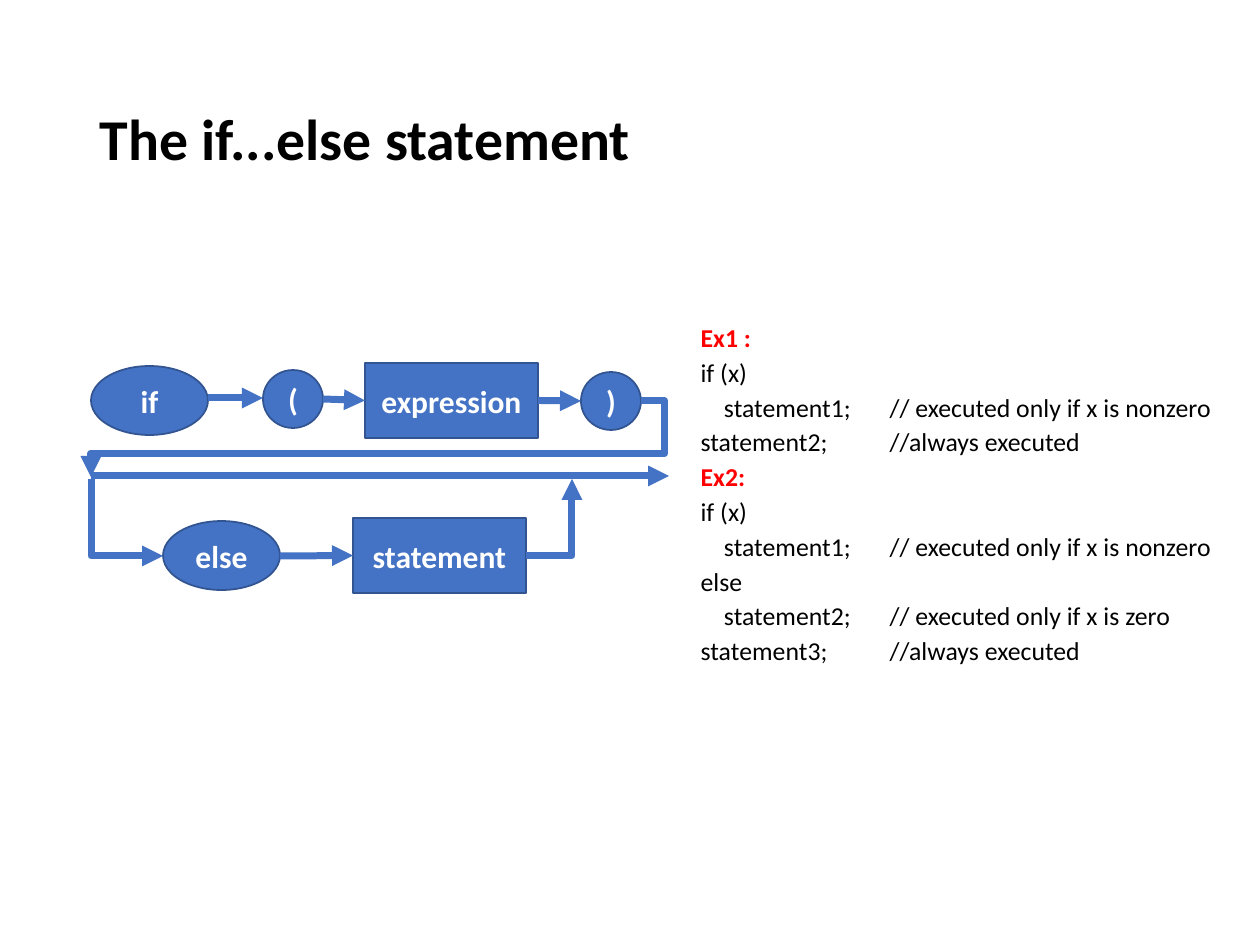
from lxml.etree import SubElement
from pptx import Presentation
from pptx.dml.color import RGBColor
from pptx.enum.shapes import MSO_CONNECTOR, MSO_SHAPE
from pptx.enum.text import MSO_ANCHOR, MSO_AUTO_SIZE, PP_ALIGN
from pptx.oxml.ns import qn
from pptx.util import Emu, Pt

BLUE, EDGE, WHITE, BLACK, RED = "4472C4", "325491", "FFFFFF", "000000", "FF0000"


def px(n):
    return Emu(round(n * 914400 / 126))


def rgb(value):
    return RGBColor.from_string(value)


def write(p, text, size=18, color=BLACK, bold=False, align=PP_ALIGN.LEFT, spacing=None, before=None):
    p.alignment = align
    if spacing:
        p.line_spacing = spacing
    if before is not None:
        p.space_before = Pt(before)
    r = p.add_run()
    r.text = text
    r.font.name = "Calibri"
    r.font.size = Pt(size)
    r.font.bold = bold
    r.font.color.rgb = rgb(color)


class Diagram:
    def __init__(self, prs):
        self.s = prs.slides.add_slide(prs.slide_layouts[1])

    def place(self, sp, x, y, w, h, anchor):
        sp.left, sp.top, sp.width, sp.height = px(x), px(y), px(w), px(h)
        tf = sp.text_frame
        tf.word_wrap = True
        tf.auto_size = MSO_AUTO_SIZE.NONE
        tf.vertical_anchor = anchor
        return tf

    def title(self, text, *box):
        tf = self.place(self.s.shapes.title, *box, MSO_ANCHOR.MIDDLE)
        write(tf.paragraphs[0], text, size=33, bold=True, spacing=0.9)

    def code(self, lines, *box):
        tf = self.place(self.s.placeholders[1], *box, MSO_ANCHOR.TOP)
        for i, line in enumerate(lines):
            p = tf.add_paragraph() if i else tf.paragraphs[0]
            pPr = p._p.get_or_add_pPr()
            pPr.set("marL", "0")
            pPr.set("indent", "0")
            SubElement(pPr, qn("a:buNone"))
            tabs = SubElement(pPr, qn("a:tabLst"))
            SubElement(tabs, qn("a:tab"), pos=str(px(189)), algn="l")
            heading = line.startswith("Ex")
            write(p, line, size=14.7, color=RED if heading else BLACK, bold=heading,
                  spacing=0.7, before=7.5 if i else 0)

    def node(self, kind, text, x, y, w, h):
        sp = self.s.shapes.add_shape(kind, px(x), px(y), px(w), px(h))
        sp.shadow.inherit = False
        sp.fill.solid()
        sp.fill.fore_color.rgb = rgb(BLUE)
        sp.line.color.rgb = rgb(EDGE)
        sp.line.width = Pt(1)
        tf = sp.text_frame
        tf.word_wrap = False
        tf.vertical_anchor = MSO_ANCHOR.MIDDLE
        write(tf.paragraphs[0], text, color=WHITE, bold=True, align=PP_ALIGN.CENTER)
        return sp

    def rect(self, text, x, y):
        return self.node(MSO_SHAPE.RECTANGLE, text, x, y, 173, 75)

    def keyword(self, text, x, y):
        return self.node(MSO_SHAPE.OVAL, text, x, y, 117, 69)

    def paren(self, text, x, y):
        return self.node(MSO_SHAPE.OVAL, text, x, y, 60, 58)

    def arrow(self, x1, y1, x2, y2, kind=MSO_CONNECTOR.STRAIGHT, start=None, end=None):
        cn = self.s.shapes.add_connector(kind, px(x1), px(y1), px(x2), px(y2))
        if start:
            cn.begin_connect(start, 3)
        if end:
            cn.end_connect(end, 1)
        cn.line.color.rgb = rgb(BLUE)
        cn.line.width = Pt(4)
        spPr = cn._element.spPr
        SubElement(spPr.find(qn("a:ln")), qn("a:tailEnd"), type="triangle")
        SubElement(spPr, qn("a:effectLst"))
        return cn

    def elbow(self, x1, y1, x2, y2, preset, adjust=(), down_first=False):
        if down_first:
            cx, cy = (x1 + x2) / 2, (y1 + y2) / 2
            w, h = x2 - x1, y2 - y1
            x1, y1, x2, y2 = cx + h / 2, cy - w / 2, cx - h / 2, cy + w / 2
        cn = self.arrow(x1, y1, x2, y2, MSO_CONNECTOR.ELBOW)
        spPr = cn._element.spPr
        if down_first:
            spPr.find(qn("a:xfrm")).set("rot", "16200000")
        geom = spPr.find(qn("a:prstGeom"))
        geom.set("prst", preset)
        guides = geom.find(qn("a:avLst"))
        for i, value in enumerate(adjust, 1):
            SubElement(guides, qn("a:gd"), name=f"adj{i}", fmla=f"val {value}")


def main():
    prs = Presentation()
    prs.slide_width, prs.slide_height = px(1260), px(945)
    d = Diagram(prs)
    d.title("The if...else statement", 87, 50, 1086, 183)
    d.code([
        "Ex1 :",
        "if (x)",
        "    statement1;\t// executed only if x is nonzero",
        "statement2;\t//always executed",
        "Ex2:",
        "if (x)",
        "    statement1;\t// executed only if x is nonzero",
        "else",
        "    statement2;\t// executed only if x is zero",
        "statement3;\t//always executed",
    ], 688, 324, 546, 362)

    expression = d.rect("expression", 365, 363)
    d.paren("(", 263, 370)
    d.paren(")", 581, 372)
    d.keyword("if", 91, 366)
    d.arrow(208, 398, 263, 398)
    d.arrow(323, 399, 365, 400, end=expression)
    d.arrow(538, 401, 581, 401, start=expression)
    d.elbow(641, 401, 91, 477, "bentConnector4", (-4300, 69200))
    d.arrow(91, 476, 669, 476)

    d.keyword("else", 163, 521)
    statement = d.rect("statement", 353, 518)
    d.elbow(91, 479, 163, 556, "bentConnector2", down_first=True)
    d.arrow(280, 556, 353, 556, end=statement)
    d.elbow(526, 556, 572, 479, "bentConnector2")
    prs.save("out.pptx")


if __name__ == "__main__":
    main()
